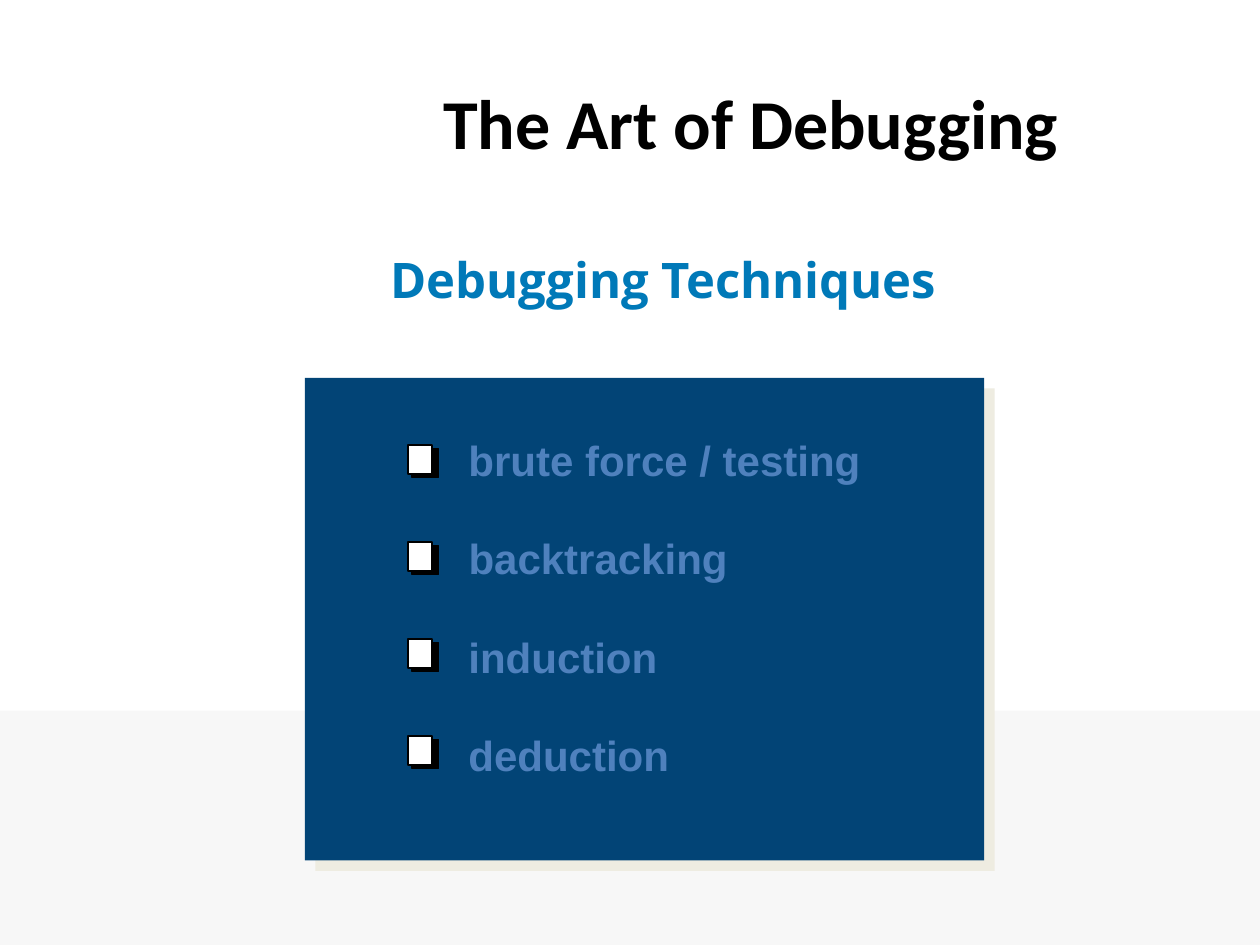
"""Build the "Debugging Techniques" slide with a checklist panel."""
from pptx import Presentation
from pptx.dml.color import RGBColor
from pptx.enum.shapes import MSO_SHAPE
from pptx.enum.text import MSO_ANCHOR, PP_ALIGN
from pptx.oxml import parse_xml
from pptx.util import Inches, Pt

RECTANGLE = MSO_SHAPE.RECTANGLE
MIDDLE = MSO_ANCHOR.MIDDLE
CENTER = PP_ALIGN.CENTER

BLACK = RGBColor(0x00, 0x00, 0x00)
WHITE = RGBColor(0xFF, 0xFF, 0xFF)
PALE_GREY = RGBColor(0xF7, 0xF7, 0xF7)
TITLE_BLUE = RGBColor(0x00, 0x79, 0xB8)
PANEL_BLUE = RGBColor(0x02, 0x44, 0x76)
ITEM_BLUE = RGBColor(0x4F, 0x81, 0xBD)
SHADOW_CREAM = RGBColor(0xEE, 0xEC, 0xE1)

TECHNIQUES = [
    ("brute force / testing", 3.4),
    ("backtracking", 2.35),
    ("induction", 1.8),
    ("deduction", 1.9),
]
ITEM_STEP = 0.78
CHECKBOX_STEP = 0.77


def add_rectangle(shapes, left, top, width, height, fill, outline=None):
    rectangle = shapes.add_shape(
        RECTANGLE, Inches(left), Inches(top), Inches(width), Inches(height))
    rectangle.shadow.inherit = False
    rectangle.fill.solid()
    rectangle.fill.fore_color.rgb = fill
    if outline is None:
        rectangle.line.fill.background()
    else:
        rectangle.line.color.rgb = outline
        rectangle.line.width = Pt(1)
    return rectangle


def write_bold(frame, text, font_name, size, color):
    frame.word_wrap = True
    paragraph = frame.paragraphs[0]
    paragraph.text = text
    paragraph.font.name = font_name
    paragraph.font.size = Pt(size)
    paragraph.font.bold = True
    paragraph.font.color.rgb = color
    return paragraph


prs = Presentation()
prs.slide_width = Inches(10)
prs.slide_height = Inches(7.5)
slide = prs.slides.add_slide(prs.slide_layouts[5])
shapes = slide.shapes

add_rectangle(shapes, 0, 5.64, 10, 1.86, PALE_GREY)

heading = shapes.add_textbox(Inches(3.42), Inches(0.58), Inches(6.25), Inches(0.77))
write_bold(heading.text_frame, "The Art of Debugging", "Calibri", 40, BLACK)

title = shapes.title
title.left, title.top = Inches(2.1), Inches(1.82)
title.width, title.height = Inches(6.33), Inches(0.79)
title.text_frame.vertical_anchor = MIDDLE
title_line = write_bold(
    title.text_frame, "Debugging Techniques", "Open Sans", 28, TITLE_BLUE)
title_line.alignment = CENTER

panel = add_rectangle(shapes, 2.42, 3, 5.39, 3.83, PANEL_BLUE)
effects = panel.element.spPr.find(
    "{http://schemas.openxmlformats.org/drawingml/2006/main}effectLst")
effects.append(parse_xml(
    '<a:outerShdw xmlns:a="http://schemas.openxmlformats.org/drawingml/2006/main"'
    f' dist="{Pt(8.5)}" dir="2700000" algn="ctr" rotWithShape="0">'
    f'<a:srgbClr val="{SHADOW_CREAM}"/></a:outerShdw>'))

for row, (technique, width) in enumerate(TECHNIQUES):
    item = shapes.add_textbox(
        Inches(3.62), Inches(3.4 + row * ITEM_STEP), Inches(width), Inches(0.5))
    write_bold(item.text_frame, technique, "Arial", 24, ITEM_BLUE)

    offset = row * CHECKBOX_STEP
    checkbox = shapes.add_group_shape()
    add_rectangle(checkbox.shapes, 3.27, 3.56 + offset, 0.21, 0.23, BLACK, BLACK)
    add_rectangle(checkbox.shapes, 3.24, 3.53 + offset, 0.19, 0.23, WHITE, BLACK)

prs.save("out.pptx")
